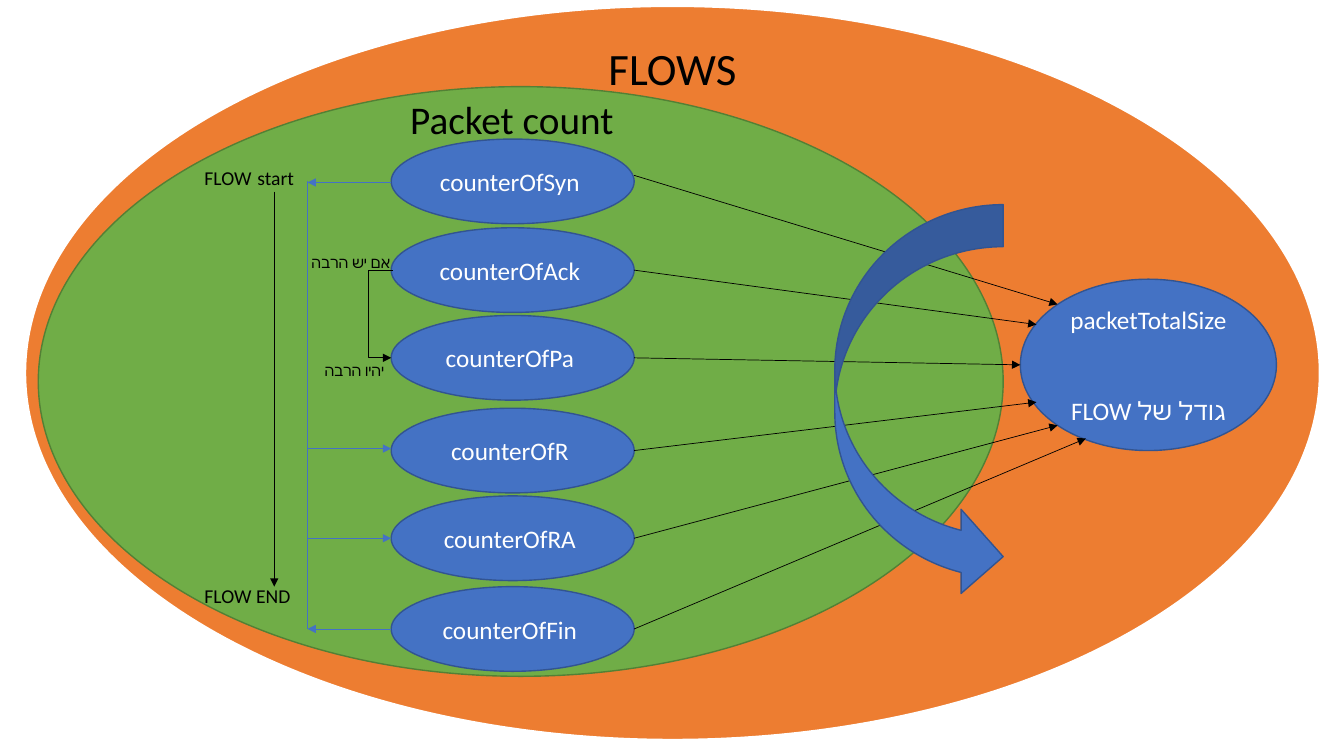
from lxml import etree
from pptx import Presentation
from pptx.dml.color import RGBColor
from pptx.enum.shapes import MSO_CONNECTOR, MSO_SHAPE
from pptx.enum.text import MSO_ANCHOR, MSO_AUTO_SIZE, PP_ALIGN
from pptx.oxml.ns import qn
from pptx.util import Inches, Pt

OVAL = MSO_SHAPE.OVAL
CURVED_ARROW = MSO_SHAPE.CURVED_RIGHT_ARROW
STRAIGHT = MSO_CONNECTOR.STRAIGHT
ELBOW = MSO_CONNECTOR.ELBOW
MIDDLE = MSO_ANCHOR.MIDDLE
GROW = MSO_AUTO_SIZE.SHAPE_TO_FIT_TEXT
LEFT = PP_ALIGN.LEFT
CENTER = PP_ALIGN.CENTER

COLUMNS, ROWS = 13.33, 7.5
COLORS = {
    "white": "FFFFFF", "black": "000000", "orange": "ED7D31",
    "green": "70AD47", "dark green": "538035",
    "blue": "4472C4", "dark blue": "325491",
}


class FlowPage:
    font = "Calibri"

    def __init__(self, deck):
        self.column = deck.slide_width / COLUMNS
        self.row = deck.slide_height / ROWS
        self.page = deck.slides.add_slide(deck.slide_layouts[6])

    def place(self, *grid):
        units = (self.column, self.row) * 2
        return [round(value * unit) for value, unit in zip(grid, units)]

    def color(self, name):
        return RGBColor.from_string(COLORS[name])

    def style(self, para, sizes, color, align):
        para.alignment = align
        for span, size in zip(para.runs, sizes):
            span.font.name = self.font
            span.font.size = Pt(size)
            span.font.color.rgb = self.color(color)

    def shape(self, kind, grid, fill, line, width=1, lines=()):
        shape = self.page.shapes.add_shape(kind, *self.place(*grid))
        shape.shadow.inherit = False
        shape.fill.solid()
        shape.fill.fore_color.rgb = self.color(fill)
        shape.line.color.rgb = self.color(line)
        shape.line.width = Pt(width)
        frame = shape.text_frame
        frame.vertical_anchor = MIDDLE
        frame.text = "\n".join(lines)
        for para in frame.paragraphs:
            self.style(para, [18], "white", CENTER)
        for para in frame.paragraphs[:-1]:
            para.space_after = Pt(22)

    def label(self, grid, spans, align=LEFT, wrap=True):
        box = self.page.shapes.add_textbox(*self.place(*grid))
        frame = box.text_frame
        frame.word_wrap = wrap
        frame.auto_size = GROW
        para = frame.paragraphs[0]
        for text, size in spans:
            para.add_run().text = text
        self.style(para, [size for text, size in spans], "black", align)

    def line(self, start, end, color="black", arrow=True, kind=STRAIGHT):
        line = self.page.shapes.add_connector(kind, *self.place(*start, *end))
        line.line.color.rgb = self.color(color)
        line.line.width = Pt(0.5)
        properties = line._element.spPr
        if arrow:
            outline = properties.find(qn("a:ln"))
            etree.SubElement(outline, qn("a:tailEnd"), type="triangle")
        etree.SubElement(properties, qn("a:effectLst"))
        return line

    def bracket(self, start, end, reach):
        line = self.line(start, end, kind=ELBOW)
        ratio = round(reach / abs(end[0] - start[0]) * 100000)
        geometry = line._element.spPr.find(qn("a:prstGeom"))
        guides = geometry.find(qn("a:avLst"))
        if guides is None:
            guides = etree.SubElement(geometry, qn("a:avLst"))
        etree.SubElement(guides, qn("a:gd"), name="adj1", fmla=f"val {ratio}")


def main():
    deck = Presentation()
    deck.slide_width, deck.slide_height = Inches(COLUMNS), Inches(ROWS)
    flow = FlowPage(deck)

    flow.shape(OVAL, (0.25, 0.06, 12.84, 7.28), "orange", "white", 1.5)
    flow.shape(OVAL, (0.38, 0.86, 9.57, 5.85), "green", "dark green")
    flow.label((4.35, 0.35, 4.64, 0.64), [("FLOWS", 32)], CENTER)

    left, width, height = 3.88, 2.41, 0.84
    right = left + width
    counters = [
        ("Syn", 1.38, 1.74, (10.49, 3.02)),
        ("Ack", 2.26, 2.68, (10.28, 3.22)),
        ("Pa", 3.13, 3.55, (10.12, 3.62)),
        ("R", 4.05, 4.47, (10.28, 3.99)),
        ("RA", 4.92, 5.34, (10.49, 4.22)),
        ("Fin", 5.82, 6.24, (10.77, 4.35)),
    ]
    for name, top, exit_row, target in counters:
        flow.shape(OVAL, (left, top, width, height), "blue", "dark blue",
                   lines=[f"counterOf{name} "])
    flow.shape(OVAL, (10.12, 2.77, 2.54, 1.7), "blue", "dark blue",
               lines=["packetTotalSize  ", "FLOW גודל של"])
    for name, top, exit_row, target in counters:
        flow.line((right, exit_row), target)

    flow.label((3.97, 0.67, 4.64, 0.84), [("Packet count", 28), (" ", 44)])
    flow.label((1.93, 1.54, 4.64, 0.4),
               [("FLOW", 14), (" ", 18), ("start", 14)])
    flow.label((1.93, 5.74, 4.64, 0.34), [("FLOW END", 14)])
    flow.line((2.72, 1.9), (2.72, 5.82))

    flow.shape(CURVED_ARROW, (8.28, 2.03, 1.67, 3.91), "blue", "dark blue")
    flow.bracket((3.9, 2.68), (left, 3.55), 0.25)
    flow.label((2.99, 2.46, 1, 0.29), [("אם יש הרבה", 11)], wrap=False)
    flow.label((3.12, 3.53, 0.8, 0.29), [("יהיו הרבה", 11)], wrap=False)

    rail = 3.05
    flow.line((rail, 1.8), (rail, 6.24), "blue", arrow=False)
    for row in (4.45, 5.34):
        flow.line((rail, row), (left, row), "blue")
    for row in (1.81, 6.24):
        flow.line((left, row), (rail, row), "blue")

    deck.save("out.pptx")


if __name__ == "__main__":
    main()
